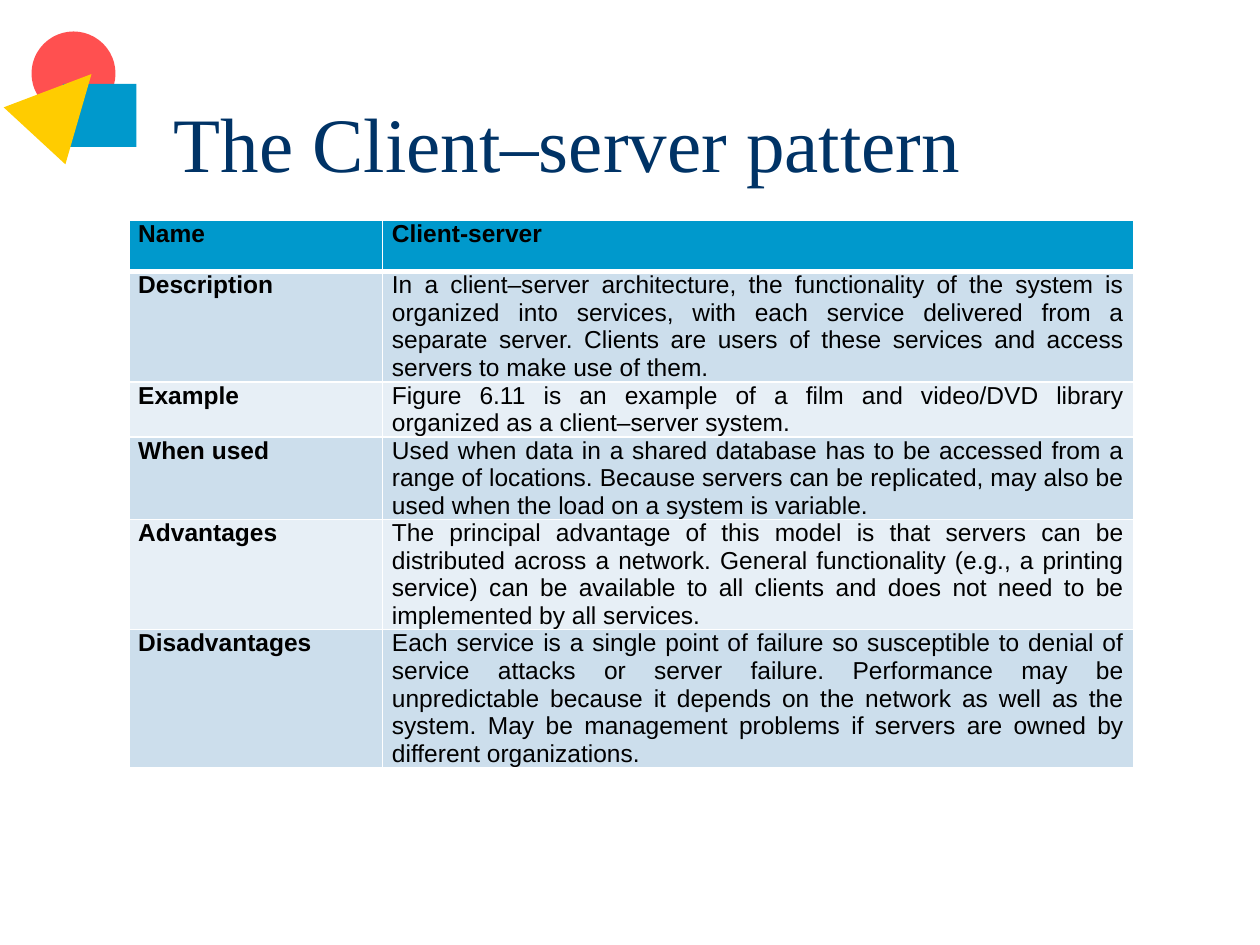
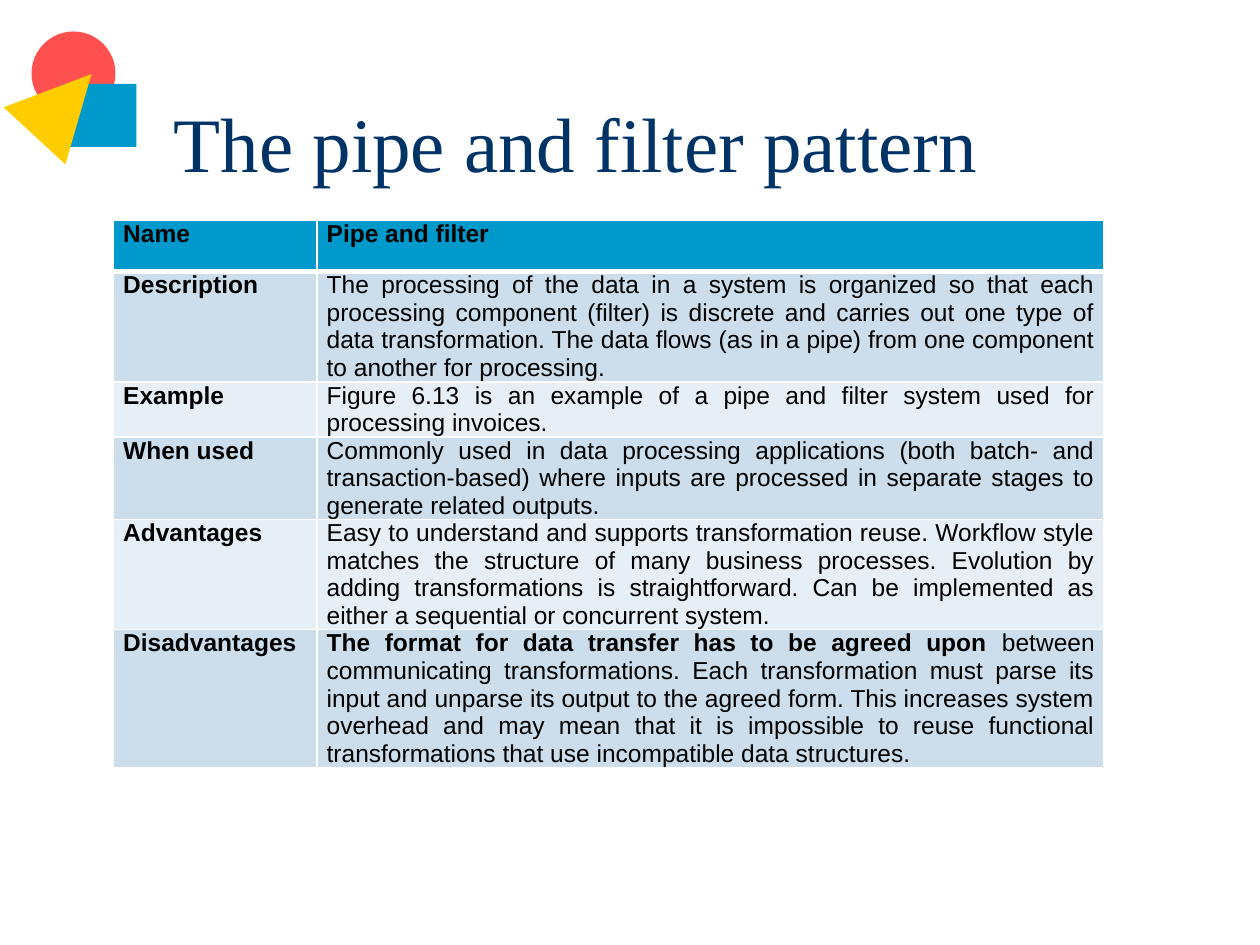
from lxml.etree import SubElement
from pptx import Presentation
from pptx.dml.color import RGBColor
from pptx.enum.shapes import MSO_SHAPE as SHAPE
from pptx.enum.text import MSO_ANCHOR as ANCHOR, MSO_AUTO_SIZE as AUTO_SIZE, PP_ALIGN as ALIGN
from pptx.oxml.ns import qn
from pptx.util import Pt

RED = RGBColor(0xFF, 0x50, 0x50)
BLUE = RGBColor(0x00, 0x99, 0xCC)
YELLOW = RGBColor(0xFF, 0xCC, 0x00)
NAVY = RGBColor(0x00, 0x33, 0x66)
BLACK = RGBColor(0x00, 0x00, 0x00)
WHITE = RGBColor(0xFF, 0xFF, 0xFF)
BANDS = RGBColor(0xCC, 0xDE, 0xEC), RGBColor(0xE7, 0xEF, 0xF6)

LABELS = ["Name", "Description", "Example", "When used", "Advantages", "Disadvantages"]
LINE_COUNTS = [4, 2, 3, 4, 5]
LINE_HEIGHT = 15.72
HEADER_HEIGHT = 29.2
ROW_HEIGHTS = [HEADER_HEIGHT] + [n * LINE_HEIGHT for n in LINE_COUNTS]

CLIENT_SERVER = [
    "Client-server",
    "In a client–server architecture, the functionality of the system is organized into "
    "services, with each service delivered from a separate server. Clients are users of "
    "these services and access servers to make use of them.",
    "Figure 6.11 is an example of a film and video/DVD library organized as a "
    "client–server system.",
    "Used when data in a shared database has to be accessed from a range of locations. "
    "Because servers can be replicated, may also be used when the load on a system is "
    "variable.",
    "The principal advantage of this model is that servers can be distributed across a "
    "network. General functionality (e.g., a printing service) can be available to all "
    "clients and does not need to be implemented by all services.",
    "Each service is a single point of failure so susceptible to denial of service attacks "
    "or server failure. Performance may be unpredictable because it depends on the network "
    "as well as the system. May be management problems if servers are owned by different "
    "organizations.",
]

PIPE_AND_FILTER = [
    "Pipe and filter",
    "The processing of the data in a system is organized so that each processing component "
    "(filter) is discrete and carries out one type of data transformation. The data flows "
    "(as in a pipe) from one component to another for processing.",
    "Figure 6.13 is an example of a pipe and filter system used for processing invoices.",
    "Commonly used in data processing applications (both batch- and transaction-based) "
    "where inputs are processed in separate stages to generate related outputs.",
    "Easy to understand and supports transformation reuse. Workflow style matches the "
    "structure of many business processes. Evolution by adding transformations is "
    "straightforward. Can be implemented as either a sequential or concurrent system.",
    ("The format for data transfer has to be agreed upon ",
     "between communicating transformations. Each transformation must parse its input and "
     "unparse its output to the agreed form. This increases system overhead and may mean "
     "that it is impossible to reuse functional transformations that use incompatible data "
     "structures."),
]


class Deck:
    def __init__(self):
        self.prs = Presentation()
        self.prs.slide_width, self.prs.slide_height = Pt(720), Pt(540)
        self.s = None

    def slide(self, title):
        self.s = self.prs.slides.add_slide(self.prs.slide_layouts[5])
        self.shape(SHAPE.OVAL, 18, 18, 48, 48, RED)
        self.shape(SHAPE.RECTANGLE, 36, 48, 42, 36, BLUE)
        self.shape(SHAPE.ISOSCELES_TRIANGLE, 12, 36, 48, 48, YELLOW, 42.7)
        self.title(title)

    def shape(self, kind, x, y, w, h, color, rotation=0):
        sp = self.s.shapes.add_shape(kind, Pt(x), Pt(y), Pt(w), Pt(h))
        sp.shadow.inherit = False
        sp.fill.solid()
        sp.fill.fore_color.rgb = color
        sp.line.fill.background()
        sp.rotation = rotation

    def title(self, text):
        sp = self.s.shapes.title
        sp.left, sp.top, sp.width, sp.height = Pt(92), Pt(36), Pt(612), Pt(90)
        tf = sp.text_frame
        tf.text = text
        tf.auto_size = AUTO_SIZE.NONE
        tf.vertical_anchor = ANCHOR.MIDDLE
        p = tf.paragraphs[0]
        p.alignment = ALIGN.LEFT
        self.font(p, "Times New Roman", 44, NAVY)

    def font(self, p, name, size, color, bold=False):
        p.font.name, p.font.size, p.font.bold = name, Pt(size), bold
        p.font.color.rgb = color

    def table(self, x, widths, texts):
        frame = self.s.shapes.add_table(len(LABELS), 2, Pt(x), Pt(126),
                                        Pt(sum(widths)), Pt(sum(ROW_HEIGHTS)))
        table = frame.table
        table.first_row = table.horz_banding = False
        for column, width in zip(table.columns, widths):
            column.width = Pt(width)
        for i, row in enumerate(zip(LABELS, texts)):
            table.rows[i].height = Pt(ROW_HEIGHTS[i])
            for j, text in enumerate(row):
                self.cell(table.cell(i, j), text, header=i == 0, bold=i == 0 or j == 0,
                          color=BANDS[(i - 1) % 2] if i else BLUE)

    def cell(self, cell, text, header, bold, color):
        cell.margin_left = cell.margin_right = Pt(5.4)
        cell.margin_top = cell.margin_bottom = 0
        self.borders(cell, 3 if header else 1)
        cell.fill.solid()
        cell.fill.fore_color.rgb = color
        p = cell.text_frame.paragraphs[0]
        p.alignment = ALIGN.JUSTIFY
        if isinstance(text, tuple):
            for part, strong in zip(text, (True, False)):
                r = p.add_run()
                r.text = part
                r.font.bold = strong
        else:
            p.add_run().text = text
        self.font(p, "Arial", 14, BLACK, bold)

    def borders(self, cell, bottom):
        tc_pr = cell._tc.get_or_add_tcPr()
        for side, width in zip("LRTB", (1, 1, 1, bottom)):
            ln = SubElement(tc_pr, qn(f"a:ln{side}"), w=str(Pt(width)))
            fill = SubElement(ln, qn("a:solidFill"))
            SubElement(fill, qn("a:srgbClr"), val=str(WHITE))


def main():
    deck = Deck()
    deck.slide("The Client–server pattern")
    deck.table(73.6, (145, 429.2), CLIENT_SERVER)
    deck.slide("The pipe and filter pattern")
    deck.table(65, (116.3, 449.7), PIPE_AND_FILTER)
    deck.prs.save("out.pptx")


if __name__ == "__main__":
    main()
